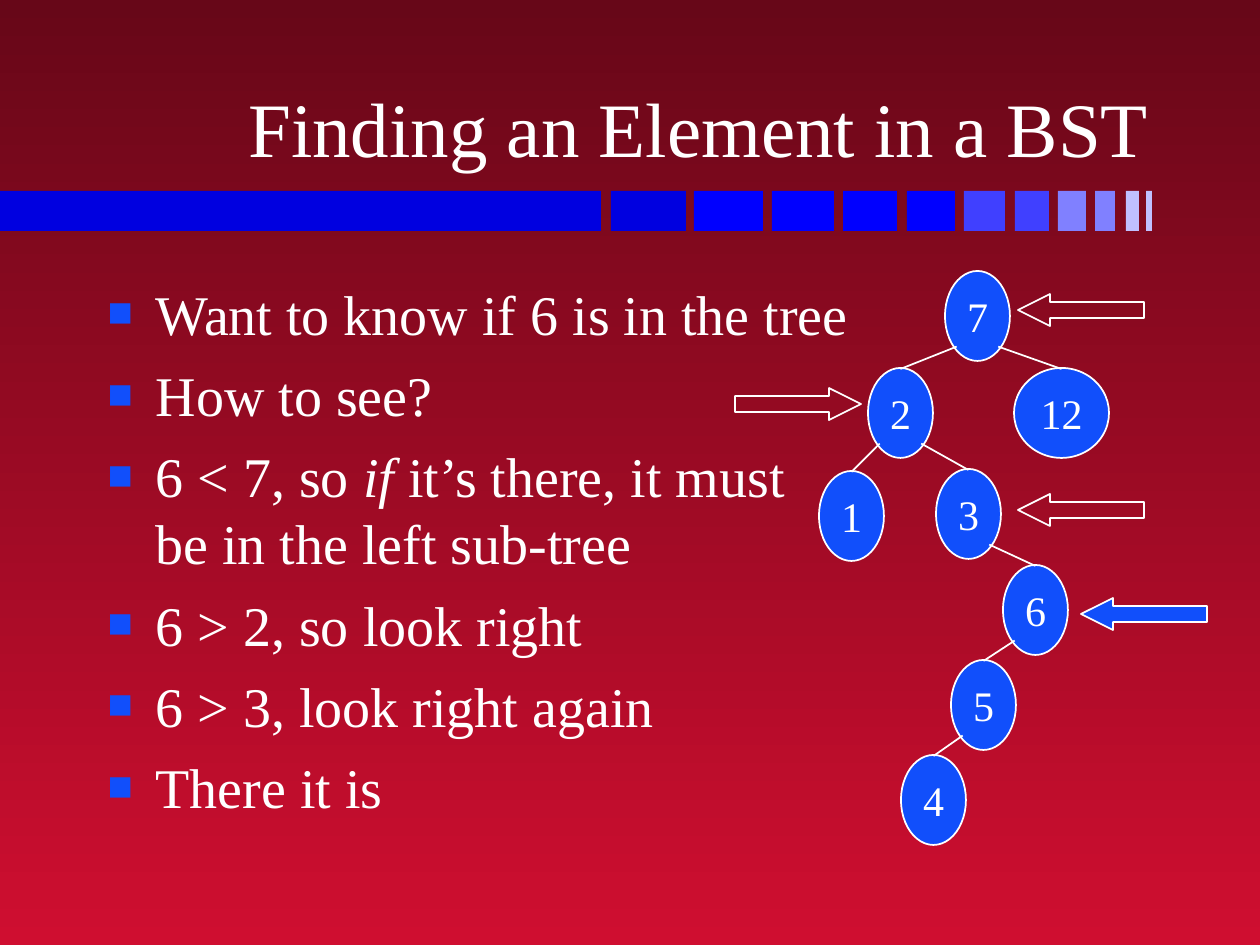
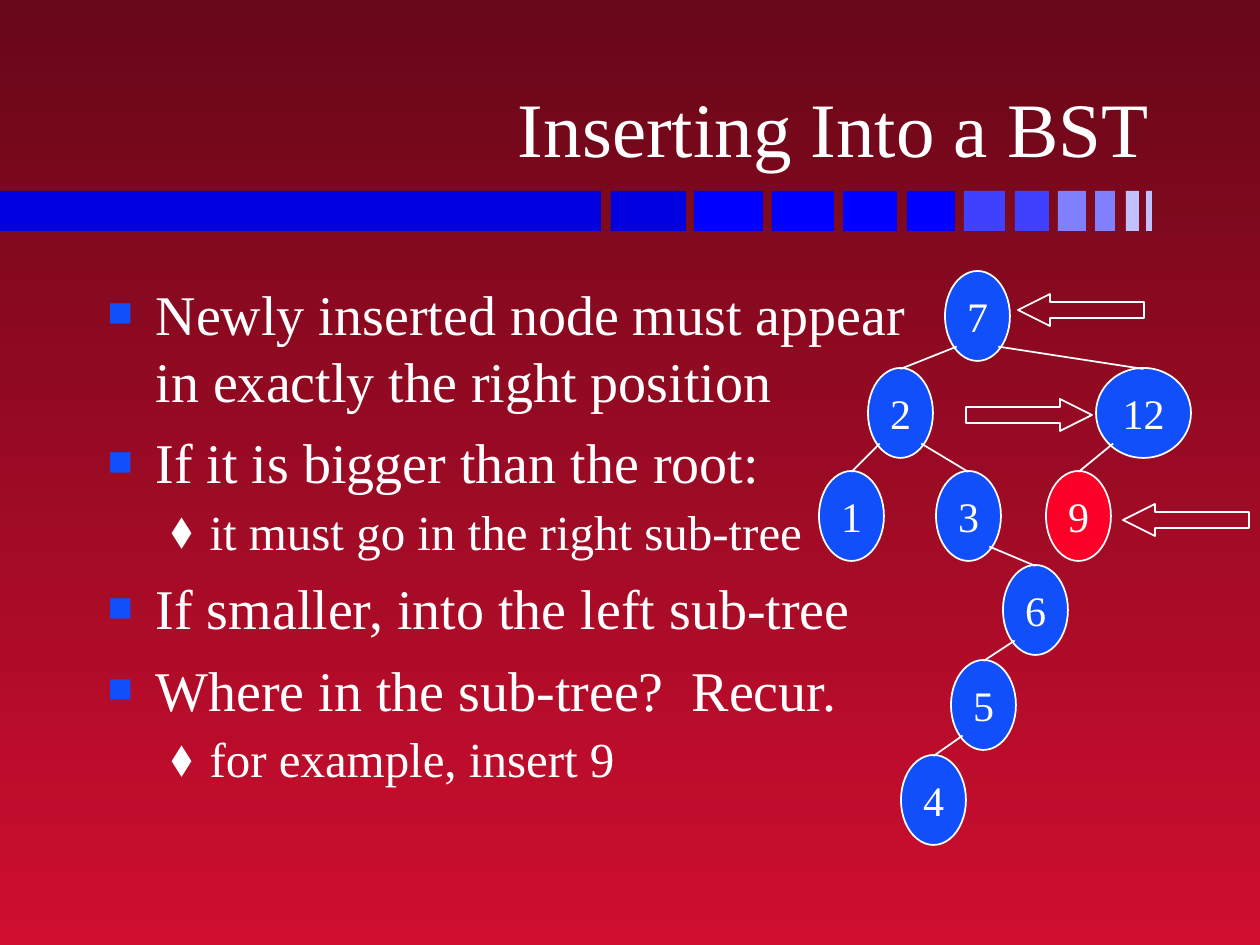
"""Build two slides on searching and inserting in a binary search tree."""
from dataclasses import dataclass

from lxml import etree
from pptx import Presentation
from pptx import util as u
from pptx.dml.color import RGBColor
from pptx.enum import shapes, text
from pptx.oxml.ns import qn


@dataclass(frozen=True)
class Theme:
    font: str = "Times New Roman"
    ink: str = "FFFFFF"
    node: str = "114FFB"
    new_node: str = "FC0128"
    sky: tuple = ("670718", "CF0E30")
    title_size: int = 44
    body_sizes: tuple = (32, 28)
    node_size: int = 24
    line_width: int = 1


THEME = Theme()
SLIDE_SIZE = (1260, 945)
TITLE_BOX = (93, 24, 1069, 155)
BODY_BOX = (95, 273, 1071, 567)
BAND_TOP, BAND_HEIGHT = 191, 40
BAND = [
    (0, 601, "0000E0"), (611, 75, "0000E0"), (694, 69, "0000FF"),
    (772, 62, "0000FF"), (843, 54, "0000FF"), (907, 48, "0000FF"),
    (964, 41, "4040FF"), (1015, 34, "4040FF"), (1058, 28, "8080FF"),
    (1095, 20, "8080FF"), (1126, 13, "C0C0FF"), (1146, 6, "C0C0FF"),
]
NODE_HEIGHT = 90
NODE_WIDTHS = {1: 65, 2: 95}
ARROW_SIZE = (126, 32)
EDGE_START = {"left": (0.18, 0.84), "right": (0.82, 0.84)}
BULLETS = [
    {"indent": 48, "hang": 48, "before": 8, "char": "■", "color": THEME.node, "percent": 75},
    {"indent": 102, "hang": 39, "before": 3.5, "char": "⬧", "color": THEME.ink, "percent": 100},
]

SHARED_NODES = {"7": (945, 271), "2": (868, 368), "1": (819, 471),
                "6": (1003, 565), "5": (951, 660), "4": (901, 755)}
SHARED_EDGES = [("7", "left", "2"), ("2", "right", "3"), ("3", "right", "6"),
                ("2", "left", "1"), ("6", "left", "5"), ("5", "left", "4"),
                ("7", "right", "12")]

SLIDES = [
    {
        "title": "Finding an Element in a BST",
        "body": [
            (0, "Want to know if 6 is in the tree"),
            (0, "How to see?"),
            (0, "6 < 7, so *if* it’s there, it must\nbe in the left sub-tree"),
            (0, "6 > 2, so look right"),
            (0, "6 > 3, look right again"),
            (0, "There it is"),
        ],
        "nodes": {"3": (936, 469), "12": (1014, 368)},
        "edges": [],
        "new": None,
        "arrows": [("left", 1018, 294, None), ("right", 735, 388, None),
                   ("left", 1018, 494, None), ("left", 1081, 598, THEME.node)],
    },
    {
        "title": "Inserting Into a BST",
        "body": [
            (0, "Newly inserted node must appear\nin exactly the right position"),
            (0, "If it is bigger than the root:"),
            (1, "it must go in the right sub-tree"),
            (0, "If smaller, into the left sub-tree"),
            (0, "Where in the sub-tree?  Recur."),
            (1, "for example, insert 9"),
        ],
        "nodes": {"3": (936, 471), "12": (1096, 368), "9": (1046, 471)},
        "edges": [("12", "left", "9")],
        "new": "9",
        "arrows": [("left", 1018, 294, None), ("right", 966, 399, None),
                   ("left", 1123, 504, None)],
    },
]


def px(length):
    return u.Emu(round(length * 914400 / 126))


def rgb(color):
    return RGBColor.from_string(color)


def place(shape, box):
    shape.left, shape.top, shape.width, shape.height = map(px, box)


def style_font(span, size):
    span.font.name = THEME.font
    span.font.size = u.Pt(size)
    span.font.color.rgb = rgb(THEME.ink)


def add_shape(page, kind, box, fill, line=None):
    shape = page.shapes.add_shape(kind, *map(px, box))
    shape.shadow.inherit = False
    if fill:
        shape.fill.solid()
        shape.fill.fore_color.rgb = rgb(fill)
    else:
        shape.fill.background()
    if line:
        shape.line.color.rgb = rgb(line)
        shape.line.width = u.Pt(THEME.line_width)
    else:
        shape.line.fill.background()
    return shape


def prepare_layout(layout):
    fill = layout.background.fill
    fill.gradient()
    fill.gradient_angle = 270
    for stop, color in zip(fill.gradient_stops, THEME.sky):
        stop.color.rgb = rgb(color)
    for holder, box in zip(layout.placeholders, (TITLE_BOX, BODY_BOX)):
        place(holder, box)


def move_band_to_layout(page, layout):
    for left, width, color in BAND:
        block = add_shape(page, shapes.MSO_SHAPE.RECTANGLE,
                          (left, BAND_TOP, width, BAND_HEIGHT), color)
        layout.shapes.element.insert(2, block.element)


def write_title(holder, words):
    frame = holder.text_frame
    frame.text = words
    frame.auto_size = text.MSO_AUTO_SIZE.NONE
    frame.vertical_anchor = text.MSO_ANCHOR.BOTTOM
    para = frame.paragraphs[0]
    para.alignment = text.PP_ALIGN.RIGHT
    style_font(para.runs[0], THEME.title_size)


def set_bullet(para, bullet):
    props = para._p.get_or_add_pPr()
    props.set("marL", str(px(bullet["indent"])))
    props.set("indent", str(-px(bullet["hang"])))
    color = etree.SubElement(props, qn("a:buClr"))
    etree.SubElement(color, qn("a:srgbClr"), val=bullet["color"])
    etree.SubElement(props, qn("a:buSzPct"), val=str(bullet["percent"] * 1000))
    etree.SubElement(props, qn("a:buFont"), typeface=THEME.font)
    etree.SubElement(props, qn("a:buChar"), char=bullet["char"])


def write_body(holder, items):
    frame = holder.text_frame
    frame.auto_size = text.MSO_AUTO_SIZE.NONE
    for index, (level, words) in enumerate(items):
        para = frame.add_paragraph() if index else frame.paragraphs[0]
        para.level = level
        para.space_before = u.Pt(BULLETS[level]["before"] if index else 0)
        set_bullet(para, BULLETS[level])
        for part, piece in enumerate(words.split("*")):
            for row, line in enumerate(piece.split("\n")):
                if row:
                    para.add_line_break()
                span = para.add_run()
                span.text = line
                style_font(span, THEME.body_sizes[level])
                span.font.italic = part % 2 == 1


def add_node(page, label, box, fill):
    node = add_shape(page, shapes.MSO_SHAPE.OVAL, box, fill, THEME.ink)
    frame = node.text_frame
    frame.text = label
    frame.word_wrap = False
    frame.auto_size = text.MSO_AUTO_SIZE.SHAPE_TO_FIT_TEXT
    frame.vertical_anchor = text.MSO_ANCHOR.MIDDLE
    para = frame.paragraphs[0]
    para.alignment = text.PP_ALIGN.RIGHT
    style_font(para.runs[0], THEME.node_size)


def add_edge(page, parent, side, child):
    left, top, width, height = parent
    across, down = EDGE_START[side]
    ends = (left + across * width, top + down * height,
            child[0] + child[2] / 2, child[1] + 1)
    edge = page.shapes.add_connector(shapes.MSO_CONNECTOR.STRAIGHT, *map(px, ends))
    edge.line.color.rgb = rgb(THEME.ink)
    edge.line.width = u.Pt(THEME.line_width)
    etree.SubElement(edge.element.spPr, qn("a:effectLst"))


def draw_tree(page, content):
    corners = SHARED_NODES | content["nodes"]
    boxes = {label: (*corner, NODE_WIDTHS[len(label)], NODE_HEIGHT)
             for label, corner in corners.items()}
    for label, box in boxes.items():
        add_node(page, label, box, THEME.new_node if label == content["new"] else THEME.node)
    for parent, side, child in SHARED_EDGES + content["edges"]:
        add_edge(page, boxes[parent], side, boxes[child])


def draw_arrows(page, arrows):
    kinds = {"left": shapes.MSO_SHAPE.LEFT_ARROW, "right": shapes.MSO_SHAPE.RIGHT_ARROW}
    for direction, left, top, fill in arrows:
        arrow = add_shape(page, kinds[direction], (left, top, *ARROW_SIZE), fill, THEME.ink)
        arrow.adjustments[0], arrow.adjustments[1] = 0.5, 1


def main():
    deck = Presentation()
    deck.slide_width, deck.slide_height = map(px, SLIDE_SIZE)
    layout = deck.slide_layouts[1]
    prepare_layout(layout)
    for index, content in enumerate(SLIDES):
        page = deck.slides.add_slide(layout)
        if index == 0:
            move_band_to_layout(page, layout)
        write_title(page.shapes.title, content["title"])
        write_body(page.placeholders[1], content["body"])
        draw_tree(page, content)
        draw_arrows(page, content["arrows"])
    deck.save("out.pptx")


if __name__ == "__main__":
    main()
